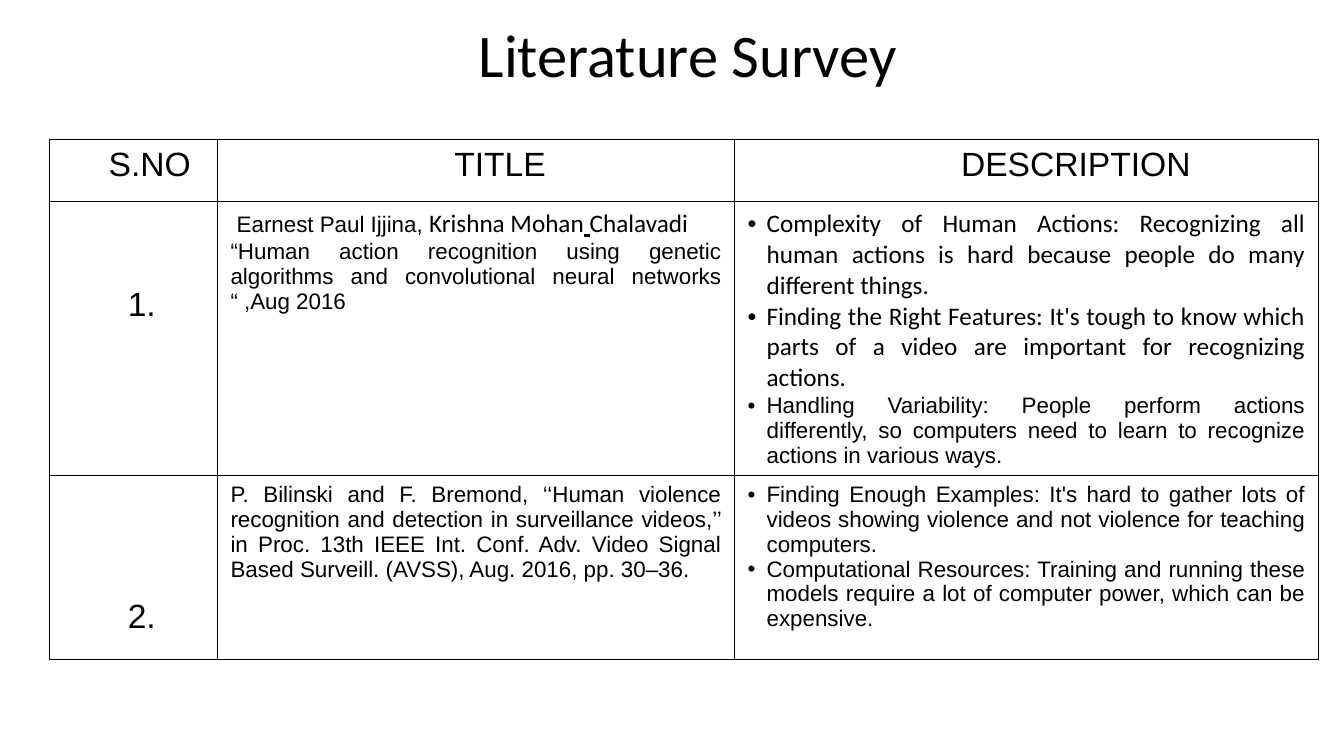
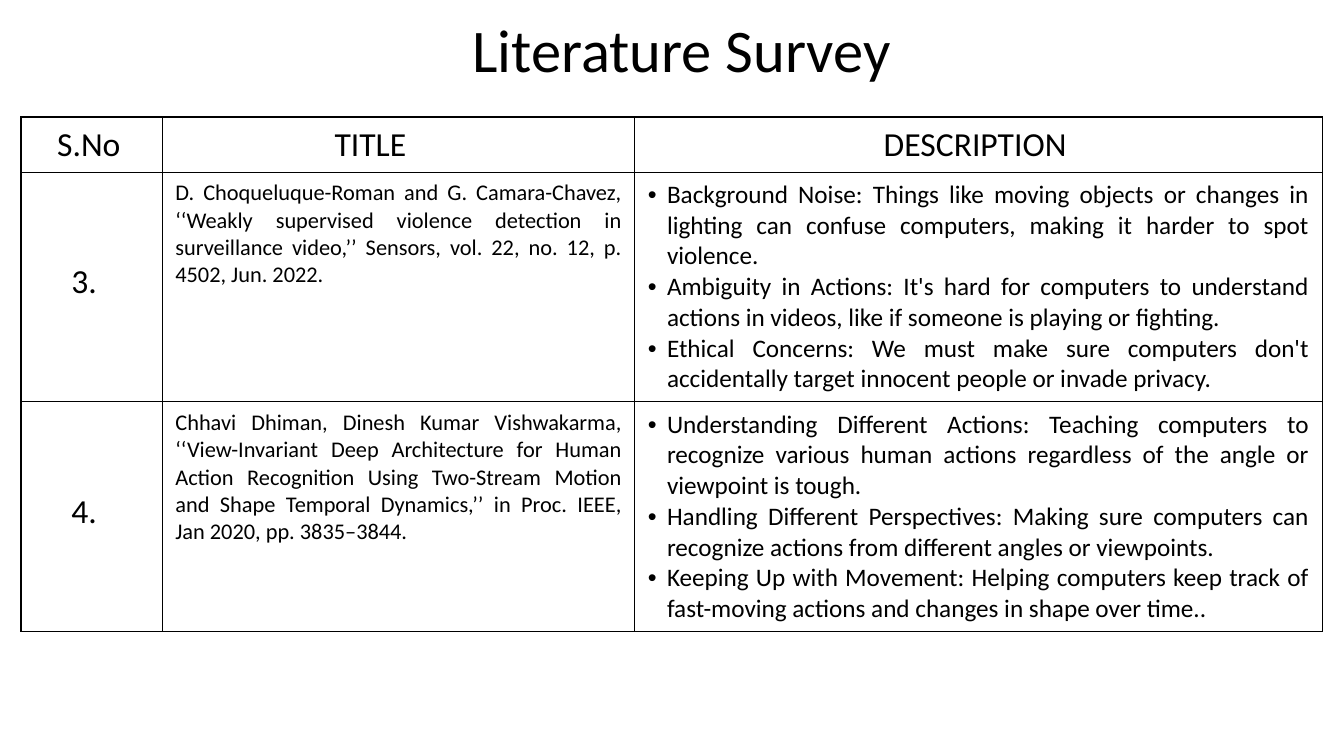
"""Build the two literature survey slides."""
from dataclasses import dataclass
from lxml.etree import SubElement
from pptx import Presentation
from pptx.dml.color import RGBColor as Rgb
from pptx.enum.text import MSO_ANCHOR as Anchor, MSO_AUTO_SIZE as AutoSize, PP_ALIGN as Align
from pptx.oxml.ns import qn
from pptx.util import Cm, Pt


@dataclass(frozen=True)
class Theme:
    ink = Rgb(0, 0, 0)
    rule = Pt(1)
    side = 0.33
    top = 0.18
    hang = 0.48
    fonts = {
        "title": {"name": "Calibri", "size": Pt(43.2)},
        "arial head": {"name": "Arial", "size": Pt(24)},
        "arial text": {"name": "Arial", "size": Pt(16)},
        "calibri head": {"name": "Calibri", "size": Pt(24)},
        "calibri text": {"name": "Calibri", "size": Pt(16)},
        "calibri large": {"name": "Calibri", "size": Pt(18)},
        "calibri underlined": {"name": "Calibri", "size": Pt(18), "underline": True},
    }


@dataclass
class Entry:
    paras: list
    kind: str = "label"
    indent: float = 0
    top: float = Theme.top


def add_span(para, text, style):
    span = para.add_run()
    span.text = text
    for name, value in Theme.fonts[style].items():
        setattr(span.font, name, value)
    span.font.color.rgb = Theme.ink


def add_grid(page, left, top, widths, heights, rows):
    frame = page.shapes.add_table(len(rows), len(widths), Cm(left), Cm(top), Cm(sum(widths)), Cm(sum(heights)))
    table = frame.table
    table.first_row = table.horz_banding = False
    for column, width in zip(table.columns, widths):
        column.width = Cm(width)
    for row, height, entries in zip(table.rows, heights, rows):
        row.height = Cm(height)
        for cell, entry in zip(row.cells, entries):
            margins = {"margin_left": Theme.side, "margin_right": Theme.side,
                       "margin_top": entry.top, "margin_bottom": Theme.top}
            for name, value in margins.items():
                setattr(cell, name, Cm(value))
            properties = cell._tc.get_or_add_tcPr()
            for edge in ("a:lnL", "a:lnR", "a:lnT", "a:lnB"):
                line = SubElement(properties, qn(edge), w=str(Theme.rule))
                fill = SubElement(line, qn("a:solidFill"))
                SubElement(fill, qn("a:srgbClr"), val=str(Theme.ink))
            cell.fill.background()
            for index, spans in enumerate(entry.paras):
                para = cell.text_frame.add_paragraph() if index else cell.text_frame.paragraphs[0]
                para.alignment = Align.LEFT if entry.kind == "label" else Align.JUSTIFY
                layout = para._p.get_or_add_pPr()
                layout.set("marL", str(Cm(entry.indent)))
                if entry.kind == "points":
                    layout.set("marL", str(Cm(Theme.hang)))
                    layout.set("indent", str(-Cm(Theme.hang)))
                    SubElement(layout, qn("a:buFont"), typeface="Arial")
                    SubElement(layout, qn("a:buChar"), char="•")
                for text, style in spans:
                    add_span(para, text, style)


first_widths = [4.24, 13.03, 14.71]
second_widths = [3.56, 11.91, 17.32]

first_rows = [
    [
        Entry([[("S.NO", "arial head")]], indent=1.17),
        Entry([[("TITLE", "arial head")]], indent=5.64),
        Entry([[("DESCRIPTION", "arial head")]], indent=5.38),
    ],
    [
        Entry([[("1.", "arial head")]], indent=1.65, top=2.13),
        Entry([
            [(" Earnest Paul Ijjina, ", "arial text"), ("Krishna Mohan", "calibri large"),
             (" ", "calibri underlined"), ("Chalavadi", "calibri large")],
            [("“Human action recognition using genetic algorithms and convolutional neural networks "
              "“ ,Aug 2016", "arial text")],
        ], "citation"),
        Entry([
            [("Complexity of Human Actions: Recognizing all human actions is hard because people do "
              "many different things.", "calibri large")],
            [("Finding the Right Features: It's tough to know which parts of a video are important "
              "for recognizing actions.", "calibri large")],
            [("Handling Variability: People perform actions differently, so computers need to learn "
              "to recognize actions in various ways.", "arial text")],
        ], "points"),
    ],
    [
        Entry([[("2.", "arial head")]], indent=1.65, top=3.1),
        Entry([
            [("P. Bilinski and F. Bremond, ‘‘Human violence recognition and detection in surveillance "
              "videos,’’ in Proc. 13th IEEE Int. Conf. Adv. Video Signal Based Surveill. (AVSS), "
              "Aug. 2016, pp. 30–36.", "arial text")],
        ], "citation"),
        Entry([
            [("Finding Enough Examples: It's hard to gather lots of videos showing violence and not "
              "violence for teaching computers.", "arial text")],
            [("Computational Resources: Training and running these models require a lot of computer "
              "power, which can be expensive.", "arial text")],
        ], "points"),
    ],
]

second_head = [
    [
        Entry([[("S.No", "calibri head")]], indent=0.58),
        Entry([[("TITLE", "calibri head")]], indent=4.01),
        Entry([[("DESCRIPTION", "calibri head")]], indent=5.94),
    ],
]

second_rows = [
    [
        Entry([[("3.", "calibri head")]], indent=0.94, top=2.25),
        Entry([
            [("D. Choqueluque-Roman and G. Camara-Chavez, ‘‘Weakly supervised violence detection in "
              "surveillance video,’’ Sensors, vol. 22, no. 12, p. 4502, Jun. 2022.", "calibri text")],
        ], "citation"),
        Entry([
            [("Background Noise: Things like moving objects or changes in lighting can confuse "
              "computers, making it harder to spot violence.", "calibri large")],
            [("Ambiguity in Actions: It's hard for computers to understand actions in videos, like "
              "if someone is playing or fighting.", "calibri large")],
            [("Ethical Concerns: We must make sure computers don't accidentally target innocent "
              "people or invade privacy.", "calibri large")],
        ], "points"),
    ],
    [
        Entry([[("4.", "calibri head")]], indent=0.94, top=2.25),
        Entry([
            [("Chhavi Dhiman, Dinesh Kumar Vishwakarma, ‘‘View-Invariant Deep Architecture for Human "
              "Action Recognition Using Two-Stream Motion and Shape Temporal Dynamics,’’ in Proc. IEEE, "
              "Jan 2020, pp. 3835–3844.", "calibri text")],
        ], "citation"),
        Entry([
            [("Understanding Different Actions: Teaching computers to recognize various human actions "
              "regardless of the angle or viewpoint is tough.", "calibri large")],
            [("Handling Different Perspectives: Making sure computers can recognize actions from "
              "different angles or viewpoints.", "calibri large")],
            [("Keeping Up with Movement: Helping computers keep track of fast-moving actions and "
              "changes in shape over time..", "calibri large")],
        ], "points"),
    ],
]

pages = [
    ((2.41, 0.61, 29.85, 1.7), [(1.24, 3.51, first_widths, [1.57, 6.88, 4.65], first_rows)]),
    ((3.25, 0.36, 27.86, 1.93), [
        (0.53, 4.34, second_widths, [5.77, 5.77], second_rows),
        (0.53, 2.95, second_widths, [1.39], second_head),
    ]),
]

deck = Presentation()
deck.slide_width, deck.slide_height = Cm(33.87), Cm(19.05)

for title_place, grids in pages:
    page = deck.slides.add_slide(deck.slide_layouts[5])
    box = page.shapes.title
    for name, value in zip(("left", "top", "width", "height"), title_place):
        setattr(box, name, Cm(value))
    frame_format = {"auto_size": AutoSize.NONE, "word_wrap": True, "vertical_anchor": Anchor.MIDDLE}
    for name, value in frame_format.items():
        setattr(box.text_frame, name, value)
    for name in ("margin_left", "margin_right", "margin_top", "margin_bottom"):
        setattr(box.text_frame, name, Cm(0.25))
    para = box.text_frame.paragraphs[0]
    para.alignment, para.line_spacing = Align.CENTER, 0.9
    add_span(para, "Literature Survey", "title")
    for grid in grids:
        add_grid(page, *grid)

deck.save("out.pptx")
